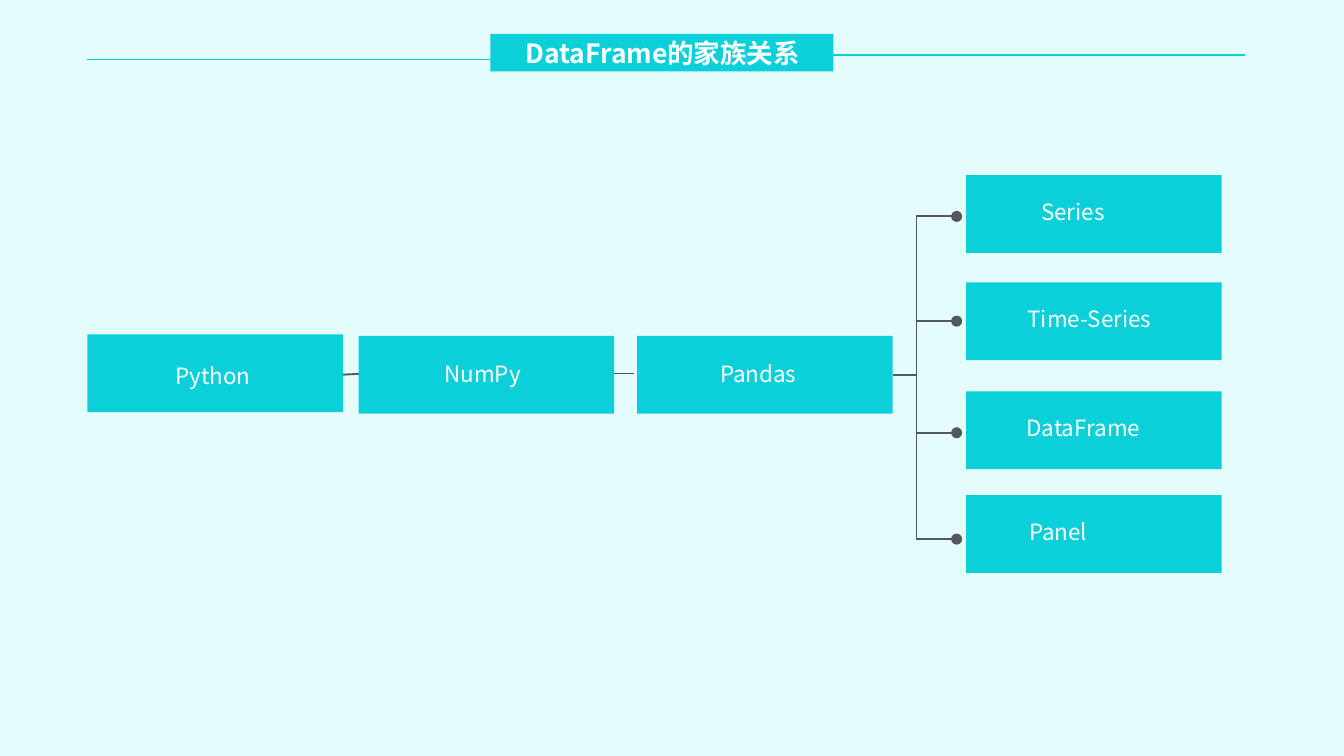
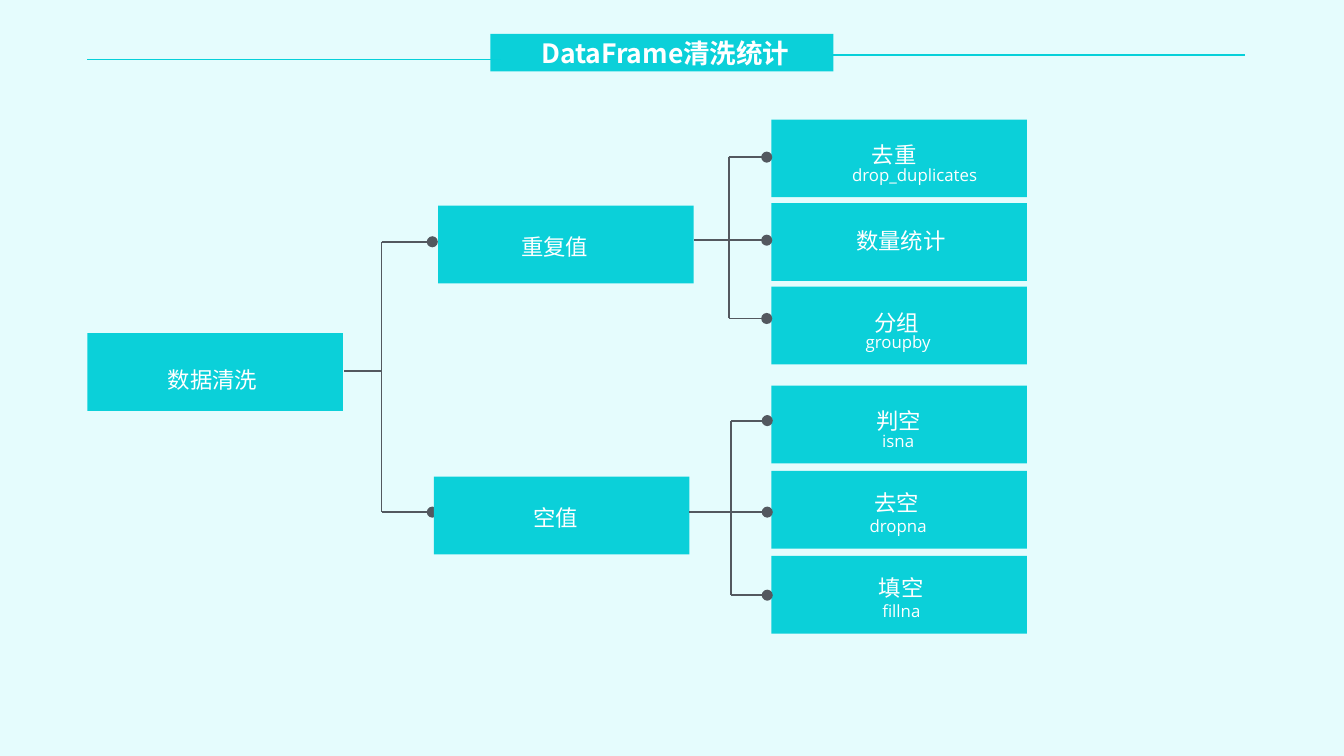
import dataclasses

import pptx
import pptx.dml.color
import pptx.enum.shapes
import pptx.enum.text
import pptx.oxml
import pptx.oxml.ns
import pptx.util

Cm = pptx.util.Cm
Pt = pptx.util.Pt
PP_ALIGN = pptx.enum.text.PP_ALIGN
MSO_ANCHOR = pptx.enum.text.MSO_ANCHOR


# Colours, fonts, type sizes and shared measures (cm)
@dataclasses.dataclass(frozen=True)
class Theme:
    background: str = "C9FAFC"
    background_alpha: int = 47
    band: str = "0BD0D9"
    rule: str = "06D0D9"
    branch: str = "53585F"
    text: str = "FFFFFF"
    font: str = "Noto Sans CJK SC"
    code_font: str = "Open Sans"
    title_size: float = 14.2
    label_size: float = 12
    code_size: float = 9
    rule_width: float = 0.75
    branch_width: float = 1
    node_width: float = 4.83
    node_height: float = 1.47
    label_height: float = 0.94


THEME = Theme()


def rgb(value):
    return pptx.dml.color.RGBColor.from_string(value)


def add_xml(parent, tag, **attributes):
    child = pptx.oxml.ns.qn(tag)
    element = parent.makeelement(child, attributes)
    parent.append(element)
    return element


# Basic elements
def add_block(shapes, left, top, width, height):
    block = shapes.add_shape(pptx.enum.shapes.MSO_SHAPE.RECTANGLE,
                             Cm(left), Cm(top), Cm(width), Cm(height))
    block.shadow.inherit = False
    block.fill.solid()
    block.fill.fore_color.rgb = rgb(THEME.band)
    block.line.fill.background()


def add_line(shapes, start, end, color=THEME.branch, width=THEME.branch_width, dot=False):
    line = shapes.add_connector(pptx.enum.shapes.MSO_CONNECTOR.STRAIGHT,
                                Cm(start[0]), Cm(start[1]), Cm(end[0]), Cm(end[1]))
    line.line.color.rgb = rgb(color)
    line.line.width = Pt(width)
    if dot:
        add_xml(line.line._get_or_add_ln(), "a:tailEnd", type="oval")
    add_xml(line._element.spPr, "a:effectLst")


def add_text(shapes, words, left, top, width, height, size, font=THEME.font,
             bold=False, wrap=True, spacing=None, align=None, anchor=None):
    box = shapes.add_textbox(Cm(left), Cm(top), Cm(width), Cm(height))
    frame = box.text_frame
    frame.word_wrap = wrap
    frame.auto_size = pptx.enum.text.MSO_AUTO_SIZE.SHAPE_TO_FIT_TEXT
    frame.vertical_anchor = anchor
    paragraph = frame.paragraphs[0]
    paragraph.alignment = align
    paragraph.line_spacing = spacing
    run = paragraph.add_run()
    run.text = words
    run.font.size = Pt(size)
    run.font.bold = bold or None
    run.font.color.rgb = rgb(THEME.text)
    run.font.name = font
    add_xml(run.font._element, "a:ea", typeface=font)


# Slide frame: tinted background and title band between two rules
def add_titled_slide(deck, title, left, width):
    slide = deck.slides.add_slide(deck.slide_layouts[6])
    fill = slide.background.fill
    fill.solid()
    fill.fore_color.rgb = rgb(THEME.background)
    tint = next(slide.background._cSld.iter(pptx.oxml.ns.qn("a:srgbClr")))
    add_xml(tint, "a:alpha", val=str(THEME.background_alpha * 1000))

    heading = slide.shapes.add_group_shape().shapes
    add_block(heading, 9.27, 0.64, 6.48, 0.71)
    for start, y in ((1.65, 1.12), (15.7, 1.04)):
        add_line(heading, (start, y), (start + 7.82, y), THEME.rule, THEME.rule_width)
    add_text(heading, title, left, 0.57, width, 0.86, THEME.title_size, bold=True)
    return slide.shapes


# Tree node: label placed by its offset in the block, code name below
def add_node(shapes, left, top, label, dx, dy, width, code=None, code_dx=0.58):
    node = shapes.add_group_shape().shapes
    add_block(node, left, top, THEME.node_width, THEME.node_height)
    add_text(node, label, left + dx, top + dy, width, THEME.label_height,
             THEME.label_size, wrap=False, spacing=1.5)
    if code:
        add_text(node, code, left + code_dx, top + 0.56, 3.63, 0.76, THEME.code_size,
                 THEME.code_font, spacing=1.5, align=PP_ALIGN.CENTER,
                 anchor=MSO_ANCHOR.MIDDLE)


# Bracket: stem from the parent, trunk, and one dotted arm per child
def add_bracket(shapes, parent_x, parent_y, trunk_x, tip_x, arms):
    add_line(shapes, (trunk_x, parent_y), (parent_x, parent_y))
    add_line(shapes, (trunk_x, arms[0]), (trunk_x, arms[-1]))
    for y in arms:
        add_line(shapes, (trunk_x, y), (tip_x, y), dot=True)


def build_family(deck):
    shapes = add_titled_slide(deck, "DataFrame的家族关系", 9.68, 6.27)
    # Links along the chain
    add_line(shapes, (6.91, 7.06), (6.32, 7.09))
    add_line(shapes, (11.99, 7.06), (11.61, 7.06))
    add_bracket(shapes, 16.87, 7.09, 17.32, 18.08, (4.09, 6.07, 8.18, 10.19))
    # Chain of libraries
    add_node(shapes, 1.65, 6.32, "Python", 1.42, 0.15, 1.96)
    add_node(shapes, 6.78, 6.35, "NumPy", 1.37, 0.08, 2.01)
    add_node(shapes, 12.04, 6.35, "Pandas", 1.32, 0.08, 1.98)
    # Data structures
    for top, label, dx, width in (
            (3.31, "Series", 1.17, 1.73),
            (5.34, "Time-Series", 0.91, 2.9),
            (7.4, "DataFrame", 0.89, 2.74),
            (9.36, "Panel", 0.94, 1.63)):
        add_node(shapes, 18.26, top, label, dx, 0.05, width)


def build_cleaning(deck):
    shapes = add_titled_slide(deck, "DataFrame清洗统计", 9.98, 5.66)
    # Root and its two branches
    add_bracket(shapes, 6.5, 7.01, 7.21, 8.17, (4.57, 9.68))
    add_node(shapes, 1.65, 6.3, "数据清洗", 1.27, 0.25, 2.24)
    add_node(shapes, 8.28, 3.89, "重复值", 1.32, 0.13, 1.8)
    add_node(shapes, 8.2, 9.01, "空值", 1.63, 0.15, 1.37)
    # Operations
    for top, label, dx, dy, width, *code in (
            (2.26, "去重", 1.65, 0.03, 1.37, "drop_duplicates", 0.89),
            (3.84, "数量统计", 1.35, 0.08, 2.24),
            (5.42, "分组", 1.7, 0.05, 1.37, "groupby"),
            (7.29, "判空", 1.73, 0.03, 1.37, "isna"),
            (8.9, "去空", 1.7, -0.03, 1.37, "dropna"),
            (10.51, "填空", 1.78, -0.03, 1.37, "fillna", 0.64)):
        add_node(shapes, 14.58, top, label, dx, dy, width, *code)
    add_bracket(shapes, 13.11, 4.54, 13.77, 14.49, (2.97, 4.54, 6.02))
    add_bracket(shapes, 13.03, 9.68, 13.82, 14.5, (7.95, 9.68, 11.25))


def main():
    deck = pptx.Presentation()
    deck.slide_width = Cm(25.4)
    deck.slide_height = Cm(14.29)
    build_family(deck)
    build_cleaning(deck)
    deck.save("out.pptx")


if __name__ == "__main__":
    main()
